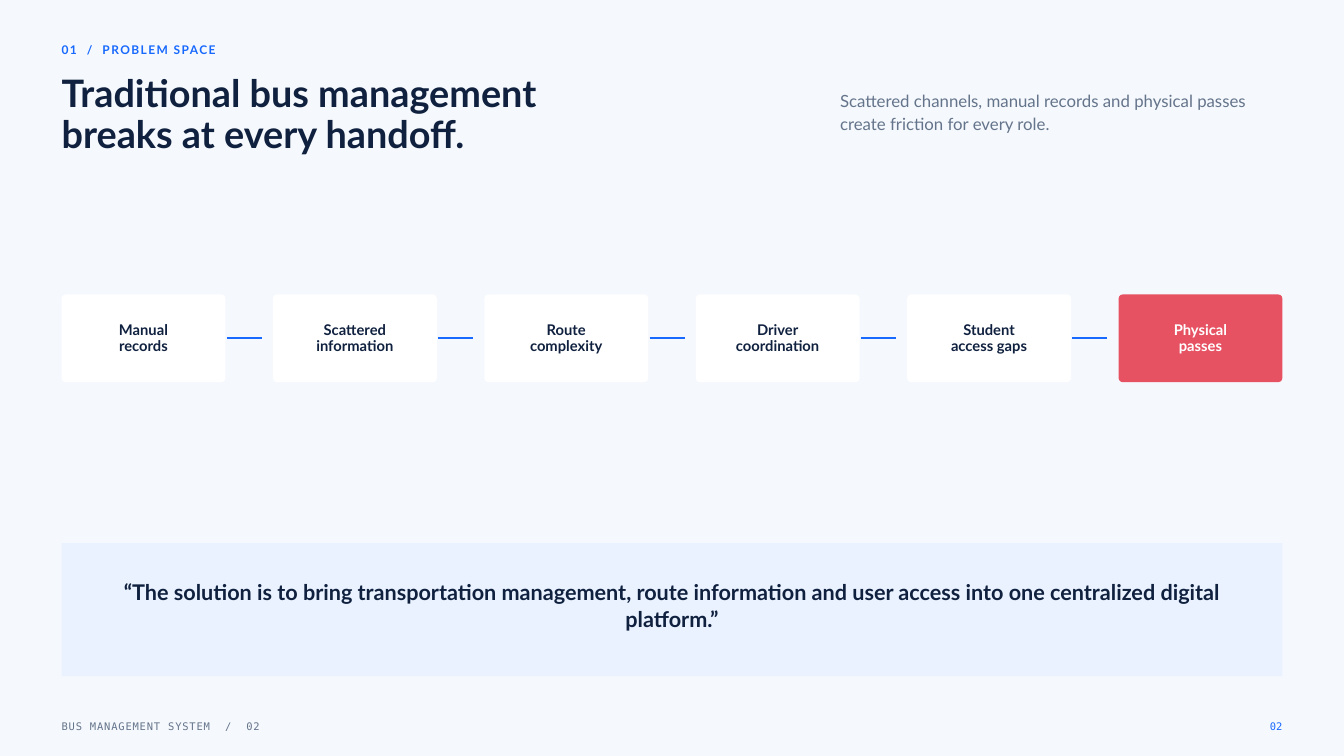
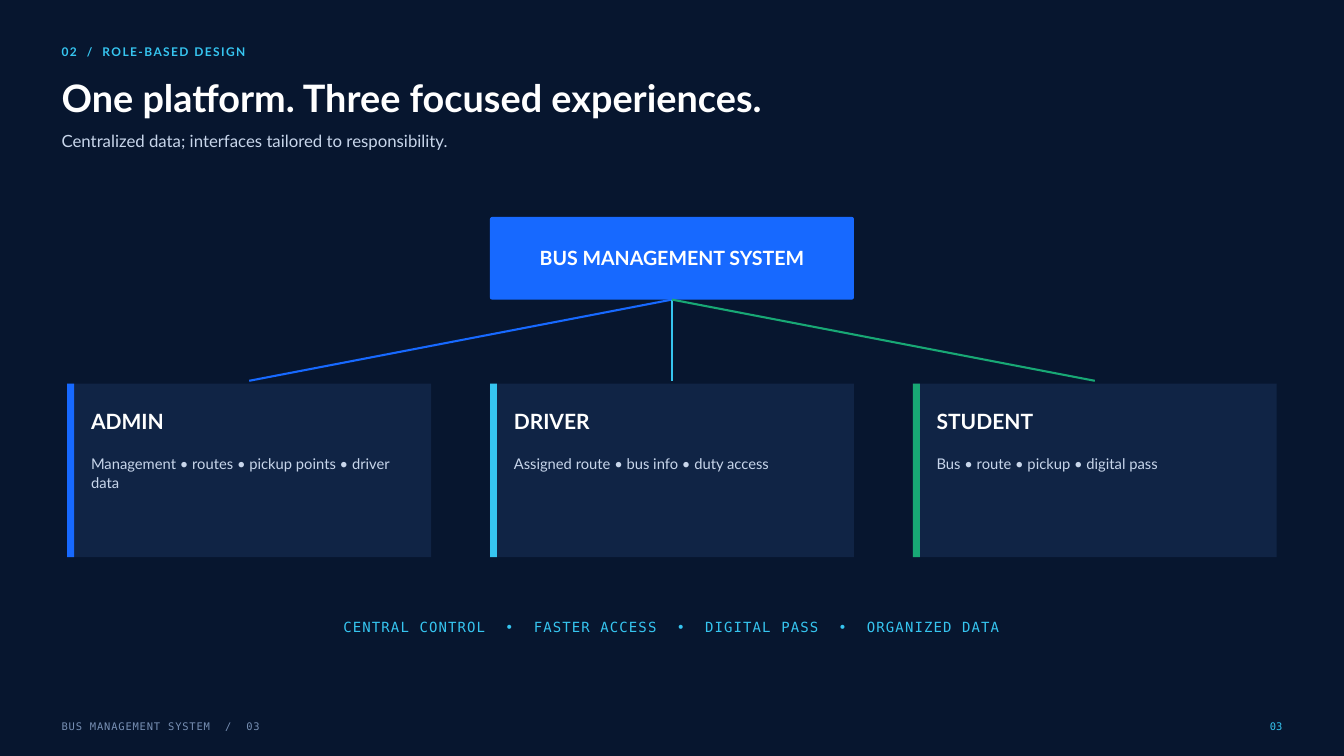
import pptx
import pptx.dml.color
import pptx.enum.shapes
import pptx.enum.text
import pptx.oxml.ns
import pptx.util
from dataclasses import dataclass, replace
from lxml import etree

Pt = pptx.util.Pt
RGBColor = pptx.dml.color.RGBColor
Align = pptx.enum.text.PP_ALIGN
Anchor = pptx.enum.text.MSO_ANCHOR
Preset = pptx.enum.shapes.MSO_SHAPE

# Colours
NAVY = RGBColor(0x07, 0x16, 0x2F)
CARD_NAVY = RGBColor(0x10, 0x24, 0x45)
INK = RGBColor(0x10, 0x21, 0x3F)
SLATE = RGBColor(0x64, 0x74, 0x8B)
STEEL = RGBColor(0x78, 0x90, 0xB4)
MIST = RGBColor(0xC8, 0xD6, 0xEB)
PAPER = RGBColor(0xF5, 0xF8, 0xFC)
PALE_BLUE = RGBColor(0xEA, 0xF2, 0xFF)
WHITE = RGBColor(0xFF, 0xFF, 0xFF)
BLUE = RGBColor(0x17, 0x69, 0xFF)
CYAN = RGBColor(0x36, 0xC5, 0xF0)
GREEN = RGBColor(0x18, 0xA8, 0x75)
RED = RGBColor(0xE7, 0x52, 0x63)

SANS = "Lato"
MONO = "DejaVu Sans Mono"

# Page frame, in points
WIDTH, HEIGHT = 1440, 810
MARGIN = 66
CONTENT = WIDTH - 2 * MARGIN
RULE = 2.25


@dataclass(frozen=True)
class Style:
    size: float
    leading: float
    color: RGBColor
    bold: bool = False
    font: str = SANS
    tracking: float = 0
    align: Align = Align.LEFT


@dataclass(frozen=True)
class Area:
    left: float
    top: float
    width: float
    height: float


@dataclass(frozen=True)
class Theme:
    background: RGBColor
    accent: RGBColor
    title: RGBColor
    subtitle: RGBColor
    footer: RGBColor


@dataclass(frozen=True)
class Role:
    name: str
    duties: str
    color: RGBColor


LIGHT = Theme(PAPER, BLUE, INK, SLATE, SLATE)
DARK = Theme(NAVY, CYAN, WHITE, MIST, STEEL)

STEP = Style(15.8, 17.3, INK, bold=True, align=Align.CENTER)
QUOTE = Style(23.2, 29.1, INK, bold=True, align=Align.CENTER)
HUB = Style(21, 23.1, WHITE, bold=True, align=Align.CENTER)
ROLE_NAME = Style(22.5, 25.9, WHITE, bold=True)
ROLE_DUTIES = Style(15.8, 21.3, MIST)
BENEFITS = Style(15, 21, CYAN, font=MONO, tracking=1.2, align=Align.CENTER)

STEPS = ["Manual\nrecords", "Scattered\ninformation", "Route\ncomplexity",
         "Driver\ncoordination", "Student\naccess gaps", "Physical\npasses"]
ROLES = [
    Role("ADMIN", "Management • routes • pickup points • driver data", BLUE),
    Role("DRIVER", "Assigned route • bus info • duty access", CYAN),
    Role("STUDENT", "Bus • route • pickup • digital pass", GREEN),
]


def write(frame, text: str, style: Style, inset: float = 0) -> None:
    """Fill a text frame, one paragraph per line of text."""
    frame.word_wrap = True
    frame.margin_left = frame.margin_right = Pt(inset)
    frame.margin_top = frame.margin_bottom = Pt(inset)
    for index, line in enumerate(text.split("\n")):
        para = frame.add_paragraph() if index else frame.paragraphs[0]
        para.alignment = style.align
        para.line_spacing = Pt(style.leading)
        span = para.add_run()
        span.text = line
        span.font.name = style.font
        span.font.size = Pt(style.size)
        span.font.bold = style.bold
        span.font.color.rgb = style.color
        if style.tracking:
            span._r.get_or_add_rPr().set("spc", str(round(style.tracking * 100)))


def add_text(page, area: Area, text: str, style: Style) -> None:
    box = page.shapes.add_textbox(Pt(area.left), Pt(area.top), Pt(area.width), Pt(area.height))
    write(box.text_frame, text, style)
    box.text_frame.auto_size = pptx.enum.text.MSO_AUTO_SIZE.SHAPE_TO_FIT_TEXT


def add_block(page, area: Area, fill: RGBColor, radius: float = 0):
    """Draw a plain filled rectangle, rounded when a radius is given."""
    preset = Preset.ROUNDED_RECTANGLE if radius else Preset.RECTANGLE
    block = page.shapes.add_shape(
        preset, Pt(area.left), Pt(area.top), Pt(area.width), Pt(area.height))
    if radius:
        block.adjustments[0] = radius / min(area.width, area.height)
    block.shadow.inherit = False
    block.fill.solid()
    block.fill.fore_color.rgb = fill
    block.line.fill.background()
    return block


def add_label_block(page, area: Area, fill: RGBColor, radius: float,
                    text: str, style: Style) -> None:
    block = add_block(page, area, fill, radius)
    write(block.text_frame, text, style, inset=4.5)
    block.text_frame.vertical_anchor = Anchor.MIDDLE


def add_rule(page, start: tuple[float, float], end: tuple[float, float],
             color: RGBColor) -> None:
    rule = page.shapes.add_connector(
        pptx.enum.shapes.MSO_CONNECTOR.STRAIGHT, *map(Pt, start + end))
    rule.line.color.rgb = color
    rule.line.width = Pt(RULE)
    etree.SubElement(rule._element.spPr, pptx.oxml.ns.qn("a:effectLst"))


def add_page(deck, theme: Theme, number: str, section: str, section_top: float,
             title: str, title_area: Area, subtitle: str, subtitle_area: Area):
    """Add a page with its background, heading and footer."""
    page = deck.slides.add_slide(deck.slide_layouts[6])
    page.background.fill.solid()
    page.background.fill.fore_color.rgb = theme.background

    # Heading
    add_text(page, Area(MARGIN, section_top, 375, 16.5), section,
             Style(12.8, 17.8, theme.accent, bold=True, tracking=1.5))
    add_text(page, title_area, title, Style(40.5, 43.7, theme.title, bold=True))
    add_text(page, subtitle_area, subtitle, Style(18, 24.3, theme.subtitle))

    # Footer
    footer = Style(11.2, 15.7, theme.footer, font=MONO, tracking=0.9)
    add_text(page, Area(MARGIN, 769, 465, 15), f"BUS MANAGEMENT SYSTEM  /  {number}", footer)
    add_text(page, Area(WIDTH - MARGIN - 54, 769, 54, 15), number,
             replace(footer, color=theme.accent, tracking=0, align=Align.RIGHT))
    return page


def build_problem_page(deck) -> None:
    page = add_page(
        deck, LIGHT, "02", "01  /  PROBLEM SPACE", 43.5,
        "Traditional bus management\nbreaks at every handoff.", Area(MARGIN, 80, 788, 88),
        "Scattered channels, manual records and physical passes create friction for every role.",
        Area(900, 95, 450, 47.5))

    # Chain of steps, the last one highlighted
    top, width, height = 315.5, 175.5, 94
    pitch = (CONTENT - width) / (len(STEPS) - 1)
    for index, label in enumerate(STEPS):
        left = MARGIN + index * pitch
        last = index == len(STEPS) - 1
        add_label_block(page, Area(left, top, width, height), RED if last else WHITE, 4.5,
                        label, replace(STEP, color=WHITE) if last else STEP)
        if not last:
            link = left + width + 1.5
            middle = top + height / 2
            add_rule(page, (link, middle), (link + 37.5, middle), BLUE)

    # Quote band
    add_block(page, Area(MARGIN, 582, CONTENT, 142.5), PALE_BLUE)
    add_text(page, Area(127.5, 619, 1185, 58),
             "“The solution is to bring transportation management, route information "
             "and user access into one centralized digital platform.”", QUOTE)


def build_roles_page(deck) -> None:
    page = add_page(
        deck, DARK, "03", "02  /  ROLE-BASED DESIGN", 45,
        "One platform. Three focused experiences.", Area(MARGIN, 85, 975, 44.5),
        "Centralized data; interfaces tailored to responsibility.",
        Area(MARGIN, 137.5, 675, 24))

    # Hub
    width, pitch = 390, 453
    center = WIDTH / 2
    hub = Area(center - width / 2, 232.5, width, 88.5)
    add_label_block(page, hub, BLUE, 2.25, "BUS MANAGEMENT SYSTEM", HUB)

    # Role cards, each tied to the hub
    top, height = 411, 186
    for index, role in enumerate(ROLES):
        left = hub.left + (index - 1) * pitch
        add_rule(page, (center, hub.top + hub.height), (left + width / 2, top - 3), role.color)
        add_block(page, Area(left, top, width, height), CARD_NAVY)
        add_block(page, Area(left, top, 7.5, height), role.color)
        add_text(page, Area(left + 25.5, top + 27.5, 339, 26), role.name, ROLE_NAME)
        add_text(page, Area(left + 25.5, top + 73.5, 339, 20), role.duties, ROLE_DUTIES)

    # Benefits line
    add_text(page, Area(180, 659.5, 1080, 20),
             "CENTRAL CONTROL  •  FASTER ACCESS  •  DIGITAL PASS  •  ORGANIZED DATA", BENEFITS)


def main() -> None:
    deck = pptx.Presentation()
    deck.slide_width, deck.slide_height = Pt(WIDTH), Pt(HEIGHT)
    build_problem_page(deck)
    build_roles_page(deck)
    deck.save("out.pptx")


if __name__ == "__main__":
    main()
